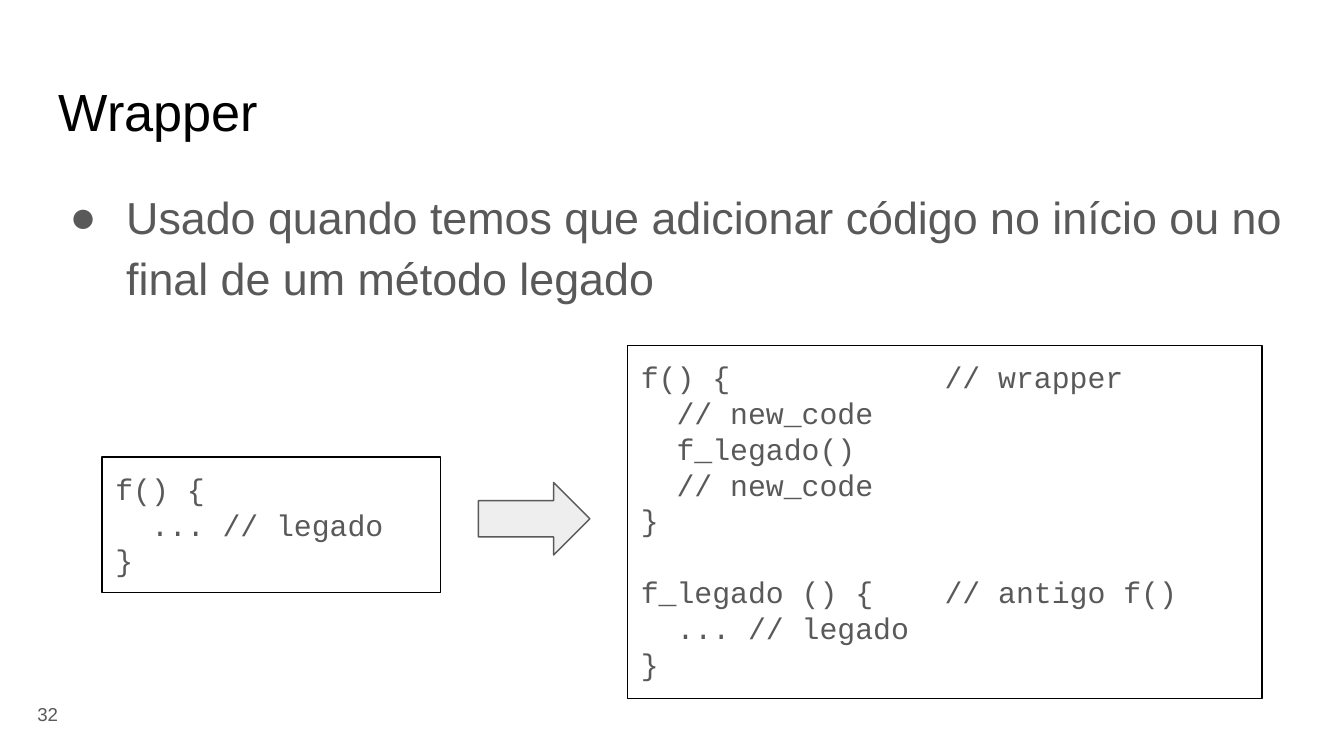
from dataclasses import dataclass

from lxml import etree
from pptx import Presentation
from pptx import util as u
from pptx.dml.color import RGBColor
from pptx.enum import shapes, text
from pptx.oxml.ns import qn

BLACK = "000000"
GRAY = "595959"
LIGHT_GRAY = "EEEEEE"
INSET = 0.1
CODE_LINE = 19.2


@dataclass(frozen=True)
class Box:
    left: float
    top: float
    width: float
    height: float

    def lengths(self) -> tuple:
        return tuple(u.Inches(n) for n in (self.left, self.top, self.width, self.height))


@dataclass(frozen=True)
class Style:
    size: float
    color: str = GRAY
    font: str = "Arial"


@dataclass(frozen=True)
class CodePanel:
    box: Box
    code: str


CODE_STYLE = Style(16, font="Courier New")

LEGACY_PANEL = CodePanel(Box(0.76, 3.4, 2.52, 1.01), """\
f() {
  ... // legado
}""")

WRAPPER_PANEL = CodePanel(Box(4.67, 2.57, 4.72, 2.63), """\
f() {            // wrapper
  // new_code
  f_legado()
  // new_code
}

f_legado () {    // antigo f()
  ... // legado
}""")


def rgb(color: str) -> RGBColor:
    return RGBColor.from_string(color)


def prepare_frame(shape, anchor=text.MSO_ANCHOR.TOP):
    frame = shape.text_frame
    frame.word_wrap = True
    frame.auto_size = text.MSO_AUTO_SIZE.NONE
    frame.vertical_anchor = anchor
    frame.margin_left = frame.margin_right = u.Inches(INSET)
    frame.margin_top = frame.margin_bottom = u.Inches(INSET)
    return frame


def add_run(paragraph, words: str, style: Style) -> None:
    run = paragraph.add_run()
    run.text = words
    run.font.size = u.Pt(style.size)
    run.font.name = style.font
    run.font.color.rgb = rgb(style.color)


def add_label(slide, box: Box, words: str, style: Style, anchor=text.MSO_ANCHOR.TOP):
    shape = slide.shapes.add_textbox(*box.lengths())
    paragraph = prepare_frame(shape, anchor).paragraphs[0]
    add_run(paragraph, words, style)
    return paragraph


def add_bullet(paragraph, color: str) -> None:
    properties = paragraph._p.get_or_add_pPr()
    properties.set("marL", str(u.Inches(0.5)))
    properties.set("indent", str(u.Inches(-0.42)))
    bullet_color = etree.SubElement(properties, qn("a:buClr"))
    etree.SubElement(bullet_color, qn("a:srgbClr"), val=color)
    etree.SubElement(properties, qn("a:buFont"), typeface="Arial")
    etree.SubElement(properties, qn("a:buChar"), char="●")


def add_outlined(slide, kind, box: Box, line: str):
    shape = slide.shapes.add_shape(kind, *box.lengths())
    shape.shadow.inherit = False
    shape.fill.background()
    shape.line.color.rgb = rgb(line)
    shape.line.width = u.Pt(0.75)
    return shape


def add_code_panel(slide, panel: CodePanel) -> None:
    """Draw a framed listing; an empty code line becomes space before the next."""
    shape = add_outlined(slide, shapes.MSO_SHAPE.RECTANGLE, panel.box, BLACK)
    frame = prepare_frame(shape)
    for block_index, block in enumerate(panel.code.split("\n\n")):
        for line_index, line in enumerate(block.split("\n")):
            first = block_index == line_index == 0
            paragraph = frame.paragraphs[0] if first else frame.add_paragraph()
            paragraph.alignment = text.PP_ALIGN.LEFT
            paragraph.line_spacing = u.Pt(CODE_LINE)
            if block_index and not line_index:
                paragraph.space_before = u.Pt(CODE_LINE)
            add_run(paragraph, line, CODE_STYLE)


def main() -> None:
    presentation = Presentation()
    presentation.slide_width = u.Inches(10)
    presentation.slide_height = u.Inches(10 * 9 / 16)
    slide = presentation.slides.add_slide(presentation.slide_layouts[6])

    add_label(slide, Box(0.34, 0.49, 9.32, 0.63), "Wrapper", Style(28, BLACK))
    body = add_label(
        slide,
        Box(0.34, 1.26, 9.32, 1.16),
        "Usado quando temos que adicionar código no início ou no final de um método legado",
        Style(24),
    )
    add_bullet(body, GRAY)
    body.line_spacing = u.Pt(32.7)
    add_label(slide, Box(0.18, 5.1, 0.6, 0.43), "32", Style(10), text.MSO_ANCHOR.MIDDLE)

    for panel in (LEGACY_PANEL, WRAPPER_PANEL):
        add_code_panel(slide, panel)

    arrow = add_outlined(
        slide, shapes.MSO_SHAPE.RIGHT_ARROW, Box(3.56, 3.59, 0.83, 0.54), GRAY
    )
    arrow.fill.solid()
    arrow.fill.fore_color.rgb = rgb(LIGHT_GRAY)

    presentation.save("out.pptx")


if __name__ == "__main__":
    main()
